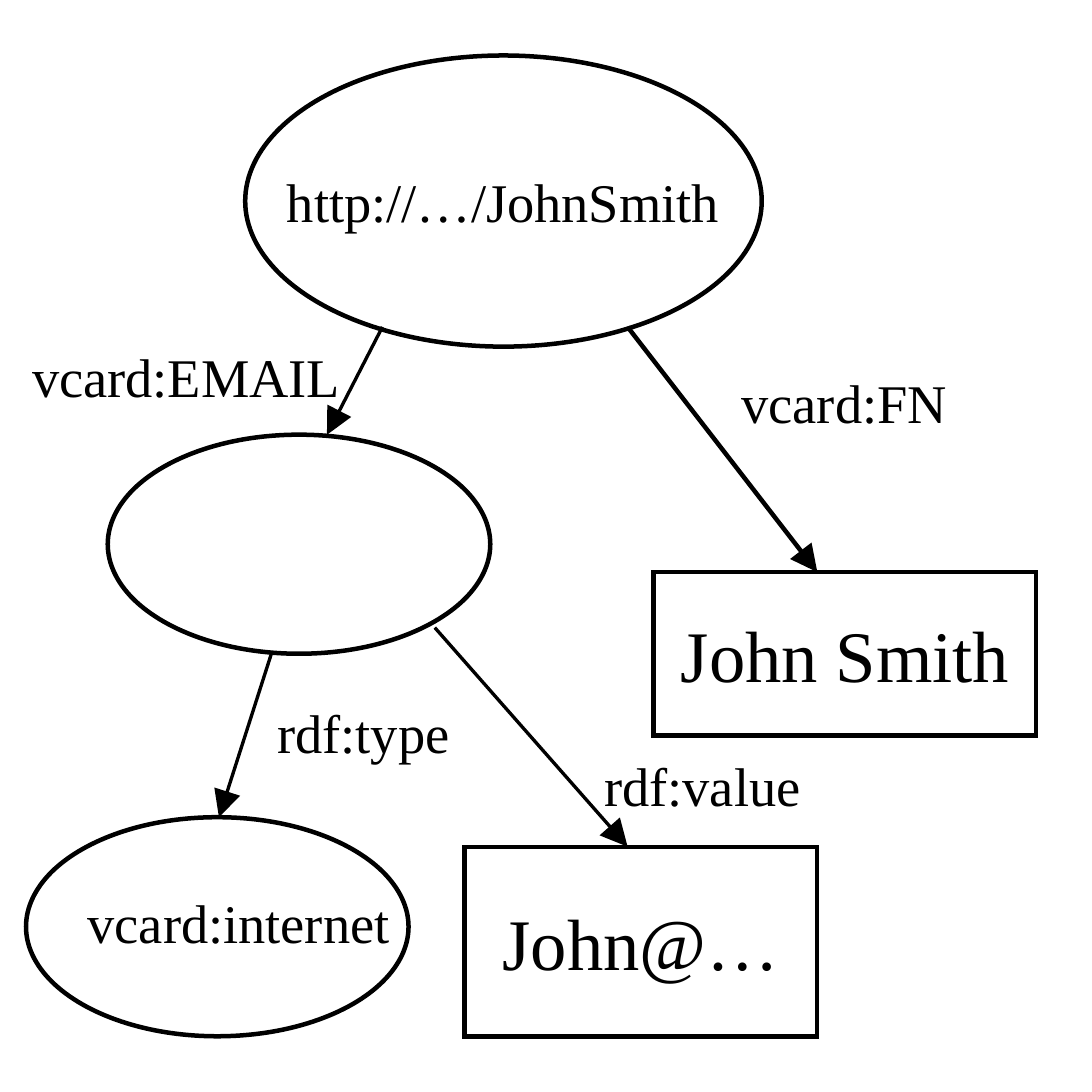
from dataclasses import dataclass

from lxml import etree
from pptx import Presentation
from pptx import util as u
from pptx.dml import color
from pptx.enum import shapes, text
from pptx.oxml import ns


@dataclass(frozen=True)
class Theme:
    font: str = "Times New Roman"
    ink: color.RGBColor = color.RGBColor(0, 0, 0)
    label_size: int = 12
    literal_size: int = 16
    outline: float = 1
    thin: float = 0.75


theme = Theme()
OVAL = shapes.MSO_SHAPE.OVAL
RECTANGLE = shapes.MSO_SHAPE.RECTANGLE

# kind, left, top, width, height, wording, type size
nodes = [
    (OVAL, 0.75, 0.17, 1.58, 0.89, "http://…/JohnSmith", theme.label_size),
    (OVAL, 0.33, 1.33, 1.17, 0.67, "", theme.label_size),
    (OVAL, 0.08, 2.5, 1.17, 0.67, "", theme.label_size),
    (RECTANGLE, 2, 1.75, 1.17, 0.5, "John Smith", theme.literal_size),
    (RECTANGLE, 1.42, 2.59, 1.08, 0.58, "John@…", theme.literal_size),
]
# start x, start y, end x, end y, line width
arrows = [
    (1.17, 1, 1, 1.33, theme.thin),
    (1.92, 1, 2.5, 1.75, theme.outline),
    (0.83, 2, 0.67, 2.5, theme.thin),
    (1.33, 1.92, 1.92, 2.59, theme.thin),
]
# left, top, width, wording
labels = [
    (0, 1, 1.16, "vcard:EMAIL"),
    (2.17, 1.08, 0.85, "vcard:FN"),
    (0.75, 2.09, 0.75, "rdf:type"),
    (1.75, 2.25, 0.82, "rdf:value"),
    (0.17, 2.67, 1.14, "vcard:internet"),
]


def write(shape, wording, size, alignment, anchor, inset_x, inset_y):
    """Put one unwrapped line of text into the shape."""
    frame = shape.text_frame
    frame.word_wrap = False
    frame.vertical_anchor = anchor
    frame.margin_left = frame.margin_right = u.Inches(inset_x)
    frame.margin_top = frame.margin_bottom = u.Inches(inset_y)
    paragraph = frame.paragraphs[0]
    paragraph.alignment = alignment
    run = paragraph.add_run()
    run.text = wording
    run.font.name = theme.font
    run.font.size = u.Pt(size)
    run.font.color.rgb = theme.ink


def draw_line(shape, width, tag, attributes):
    """Set the line's ink and width, then add one detail element to it."""
    shape.line.color.rgb = theme.ink
    shape.line.width = u.Pt(width)
    line = shape._element.spPr.find(ns.qn("a:ln"))
    etree.SubElement(line, ns.qn(tag), attributes)


presentation = Presentation()
presentation.slide_width = presentation.slide_height = u.Inches(3.34)
slide = presentation.slides.add_slide(presentation.slide_layouts[6])

for kind, left, top, width, height, wording, size in nodes:
    node = slide.shapes.add_shape(
        kind, u.Inches(left), u.Inches(top), u.Inches(width), u.Inches(height))
    node.shadow.inherit = False
    node.fill.background()
    draw_line(node, theme.outline, "a:miter", {"lim": "800000"})
    if wording:
        write(node, wording, size, text.PP_ALIGN.CENTER,
              text.MSO_ANCHOR.MIDDLE, 0.03, 0.02)

for start_x, start_y, end_x, end_y, width in arrows:
    arrow = slide.shapes.add_connector(
        shapes.MSO_CONNECTOR.STRAIGHT, u.Inches(start_x), u.Inches(start_y),
        u.Inches(end_x), u.Inches(end_y))
    draw_line(arrow, width, "a:tailEnd", {"type": "triangle"})
    etree.SubElement(arrow._element.spPr, ns.qn("a:effectLst"))

for left, top, width, wording in labels:
    label = slide.shapes.add_textbox(
        u.Inches(left), u.Inches(top), u.Inches(width), u.Inches(0.3))
    write(label, wording, theme.label_size, text.PP_ALIGN.LEFT,
          text.MSO_ANCHOR.TOP, 0.1, 0.05)
    label.text_frame.auto_size = text.MSO_AUTO_SIZE.SHAPE_TO_FIT_TEXT

presentation.save("out.pptx")
